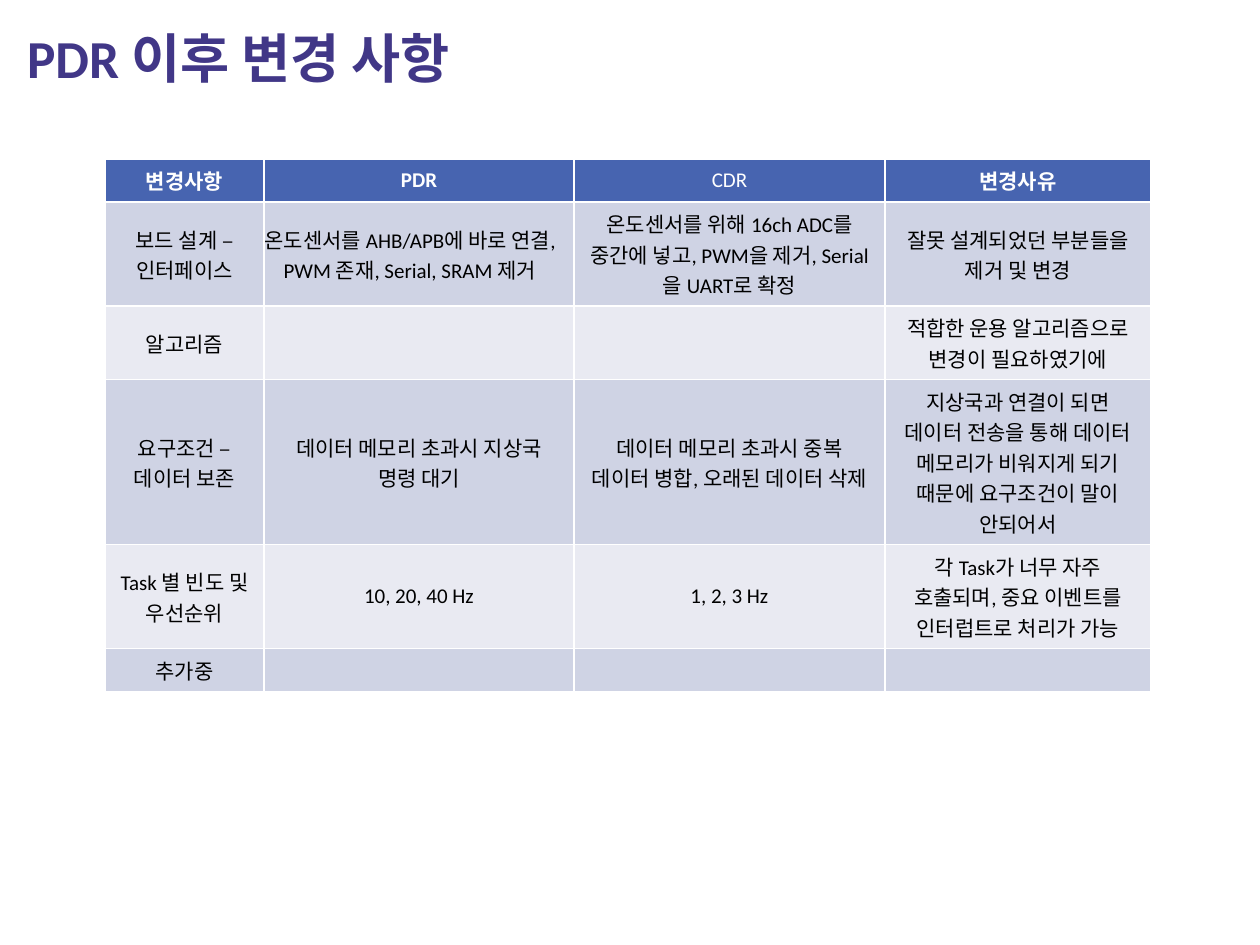
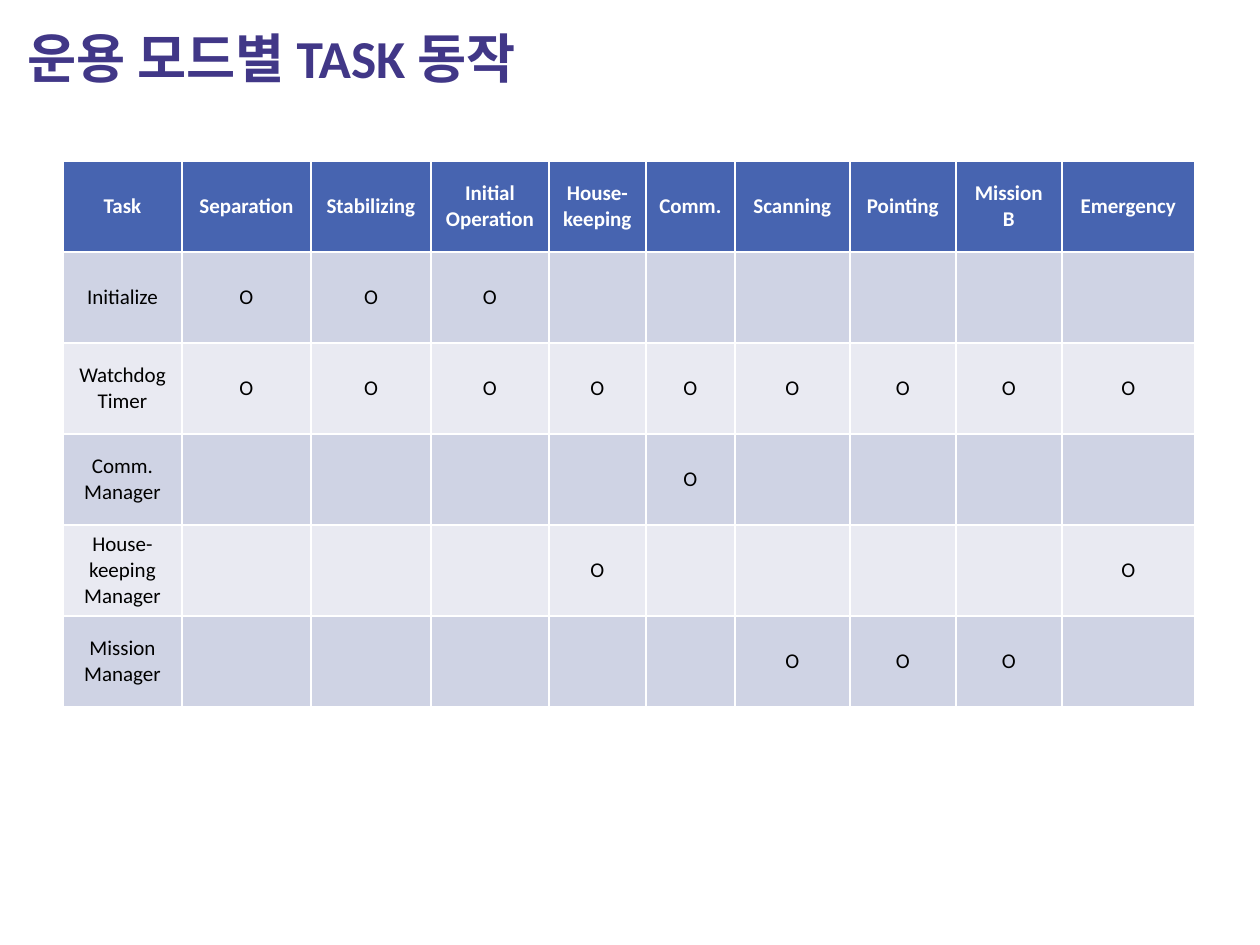
from pptx import Presentation
from pptx.dml.color import RGBColor
from pptx.enum.text import MSO_ANCHOR, MSO_AUTO_SIZE, PP_ALIGN
from pptx.util import Pt

EMU_PER_PX = 914400 / 126
LEFT, CENTER = PP_ALIGN.LEFT, PP_ALIGN.CENTER
MIDDLE = MSO_ANCHOR.MIDDLE
NO_AUTOFIT = MSO_AUTO_SIZE.NONE
TITLE_ONLY = 5
FONT = "Calibri"
TITLE_COLOR = "413787"
HEADER_FILL = "4764B0"
BAND_FILLS = ("E9EAF2", "CFD3E4")
WHITE, BLACK = "FFFFFF", "000000"

CHANGES = [
    ["변경사항", "PDR", "CDR", "변경사유"],
    ["보드 설계 – 인터페이스",
     "온도센서를 AHB/APB에 바로 연결, PWM 존재, Serial, SRAM 제거",
     "온도센서를 위해 16ch ADC를 중간에 넣고, PWM을 제거, Serial을 UART로 확정",
     "잘못 설계되었던 부분들을 제거 및 변경"],
    ["알고리즘", "", "", "적합한 운용 알고리즘으로 변경이 필요하였기에"],
    ["요구조건 – 데이터 보존",
     "데이터 메모리 초과시 지상국 명령 대기",
     "데이터 메모리 초과시 중복 데이터 병합, 오래된 데이터 삭제",
     "지상국과 연결이 되면 데이터 전송을 통해 데이터 메모리가 비워지게 되기 "
     "때문에 요구조건이 말이 안되어서"],
    ["Task 별 빈도 및 우선순위", "10, 20, 40 Hz", "1, 2, 3 Hz",
     "각 Task가 너무 자주 호출되며, 중요 이벤트를 인터럽트로 처리가 가능"],
    ["추가중", "", "", ""],
]
CHANGE_WIDTHS = [159, 310, 311, 266]
CHANGE_HEIGHTS = [36, 87, 62, 137, 87, 36]

MODES = ["Separation", "Stabilizing", "Initial Operation", "House-keeping", "Comm.",
         "Scanning", "Pointing", "Mission B", "Emergency"]
TASK_MODES = {
    "Initialize": MODES[:3],
    "Watchdog Timer": MODES,
    "Comm. Manager": ["Comm."],
    "House-keeping Manager": ["House-keeping", "Emergency"],
    "Mission Manager": ["Scanning", "Pointing", "Mission B"],
}
TASK_WIDTHS = [119, 129, 120, 118, 97, 89, 115, 106, 106, 133]
TASK_ROW_HEIGHT = 91


def px(length):
    """Turn pixels into EMU."""
    return round(length * EMU_PER_PX)


def color(hex_text):
    """Turn a hex string into a colour."""
    return RGBColor.from_string(hex_text)


def style_paragraph(paragraph, size, hex_text, bold, align):
    """Set the font and alignment of a paragraph."""
    paragraph.alignment = align
    font = paragraph.font
    font.name, font.size, font.bold = FONT, Pt(size), bold
    font.color.rgb = color(hex_text)


def add_titled_page(deck, text):
    """Add a page with the shared title style."""
    page = deck.slides.add_slide(deck.slide_layouts[TITLE_ONLY])
    title = page.shapes.title
    title.left, title.top, title.width, title.height = map(px, (16, 14, 746, 87))
    frame = title.text_frame
    frame.text = text
    frame.auto_size = NO_AUTOFIT
    frame.vertical_anchor = MIDDLE
    frame.margin_left = frame.margin_right = px(11)
    frame.margin_top = frame.margin_bottom = px(11)
    style_paragraph(frame.paragraphs[0], 30.5, TITLE_COLOR, True, LEFT)
    return page


def fill_cell(cell, text, fill, text_color, bold):
    """Write and format one table cell."""
    cell.text = text
    cell.vertical_anchor = MIDDLE
    cell.fill.solid()
    cell.fill.fore_color.rgb = color(fill)
    style_paragraph(cell.text_frame.paragraphs[0], 12, text_color, bold, CENTER)


def add_banded_table(page, left, top, widths, heights, rows):
    """Add a table with a blue header and alternating body rows."""
    frame = page.shapes.add_table(len(rows), len(widths), px(left), px(top),
                                  px(sum(widths)), px(sum(heights)))
    table = frame.table
    for column, width in zip(table.columns, widths):
        column.width = px(width)
    for index, (row, height, texts) in enumerate(zip(table.rows, heights, rows)):
        row.height = px(height)
        header = index == 0
        fill = HEADER_FILL if header else BAND_FILLS[index % 2]
        for cell, text in zip(row.cells, texts):
            fill_cell(cell, text, fill, WHITE if header else BLACK, header)
    return table


def add_changes_page(deck):
    """Add the page that lists changes since the PDR."""
    page = add_titled_page(deck, "PDR 이후 변경 사항")
    table = add_banded_table(page, 105, 159, CHANGE_WIDTHS, CHANGE_HEIGHTS, CHANGES)
    table.cell(0, 2).text_frame.paragraphs[0].font.bold = False
    interface = table.cell(1, 1)
    interface.margin_left = interface.margin_top = interface.margin_bottom = 0
    interface.margin_right = px(23)


def add_tasks_page(deck):
    """Add the page that marks the tasks active in each mode."""
    page = add_titled_page(deck, "운용 모드별 TASK 동작")
    rows = [["Task"] + MODES]
    for task, active in TASK_MODES.items():
        rows.append([task] + ["O" if mode in active else "" for mode in MODES])
    add_banded_table(page, 63, 161, TASK_WIDTHS, [TASK_ROW_HEIGHT] * len(rows), rows)


def main():
    """Build and save the deck."""
    deck = Presentation()
    deck.slide_width, deck.slide_height = px(1260), px(945)
    add_changes_page(deck)
    add_tasks_page(deck)
    deck.save("out.pptx")


if __name__ == "__main__":
    main()
